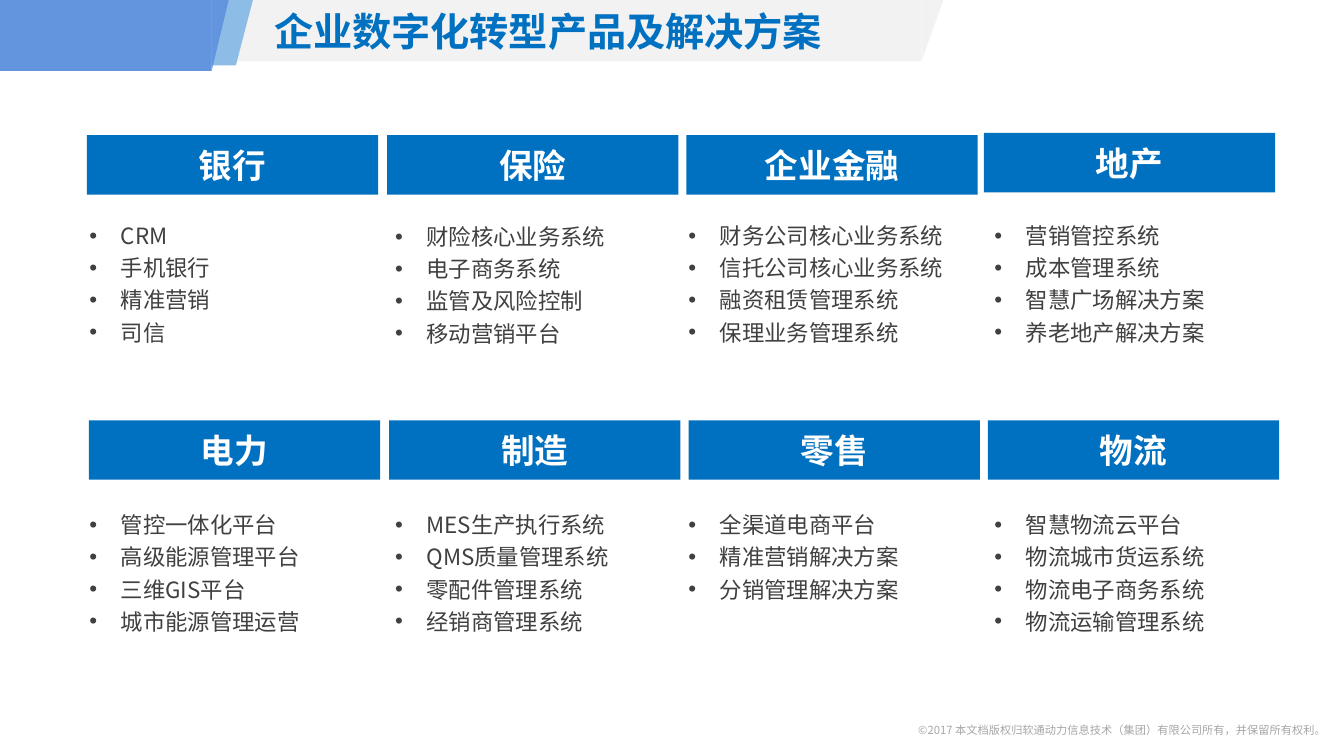
"""Build the slide of digital transformation products and solutions by industry."""
import pptx
import pptx.dml.color
import pptx.enum.shapes
import pptx.enum.text
import pptx.oxml.ns
import pptx.util
from lxml import etree

Pt = pptx.util.Pt
RGBColor = pptx.dml.color.RGBColor
SHAPES = pptx.enum.shapes.MSO_SHAPE
ANCHOR = pptx.enum.text.MSO_ANCHOR
ALIGN = pptx.enum.text.PP_ALIGN
qn = pptx.oxml.ns.qn

TITLE = "企业数字化转型产品及解决方案"
COPYRIGHT = "©2017 本文档版权归软通动力信息技术（集团）有限公司所有，并保留所有权利。"
SECTOR_ROWS = [
    [
        ("银行", ["CRM", "手机银行", "精准营销", "司信"]),
        ("保险", ["财险核心业务系统", "电子商务系统", "监管及风险控制", "移动营销平台"]),
        ("企业金融", ["财务公司核心业务系统", "信托公司核心业务系统", "融资租赁管理系统", "保理业务管理系统"]),
        ("地产", ["营销管控系统", "成本管理系统", "智慧广场解决方案", "养老地产解决方案"]),
    ],
    [
        ("电力", ["管控一体化平台", "高级能源管理平台", "三维GIS平台", "城市能源管理运营"]),
        ("制造", ["MES生产执行系统", "QMS质量管理系统", "零配件管理系统", "经销商管理系统"]),
        ("零售", ["全渠道电商平台", "精准营销解决方案", "分销管理解决方案"]),
        ("物流", ["智慧物流云平台", "物流城市货运系统", "物流电子商务系统", "物流运输管理系统"]),
    ],
]

FONT = "Noto Sans CJK SC"
BLUE = RGBColor(0x00, 0x70, 0xC0)
WHITE = RGBColor(0xFF, 0xFF, 0xFF)
DARK = RGBColor(0x40, 0x40, 0x40)
GREY = RGBColor(0xA6, 0xA6, 0xA6)
PALE = RGBColor(0xF2, 0xF2, 0xF2)
SKY = RGBColor(0x8D, 0xBD, 0xE6)
AZURE = RGBColor(0x62, 0x95, 0xDE)

BANDS = [
    (151.2, 506.9, 15.8, 43.9, PALE),
    (17.3, 151.2, 12.2, 46.8, SKY),
    (0, 151.2, 12.2, 50.6, AZURE),
]
HEADER_LEFTS = [[62, 276.5, 490.3, 702.7], [63.4, 277.9, 491.8, 705.6]]
HEADER_TOPS = [[96.5, 96.5, 96.5, 95], [300.2] * 4]
HEADER_WIDTH, HEADER_HEIGHT = 208.1, 42.5
LIST_LEFTS = [60.2, 278.6, 488.2, 706.7]
LIST_TOPS = [[151.2, 151.9, 151.2, 151.2], [357.8] * 4]
LIST_WIDTH, LINE_HEIGHT, LIST_MARGIN = 211.4, 25.6, 3.6
INDENT = 22.5


def add_filled(shapes, preset, left, top, width, height, color):
    shape = shapes.add_shape(preset, Pt(left), Pt(top), Pt(width), Pt(height))
    shape.shadow.inherit = False
    shape.fill.solid()
    shape.fill.fore_color.rgb = color
    shape.line.fill.background()
    return shape


def add_band(page, left, width, slant, height, color):
    parts = page.shapes.add_group_shape().shapes
    add_filled(parts, SHAPES.RECTANGLE, left, 0, width, height, color)
    tip = add_filled(parts, SHAPES.RIGHT_TRIANGLE, left + width, 0, slant, height, color)
    tip._element.spPr.find(qn("a:xfrm")).set("flipV", "1")


def add_bullet(para):
    properties = para._p.get_or_add_pPr()
    properties.set("marL", str(Pt(INDENT)))
    properties.set("indent", str(-Pt(INDENT)))
    color = etree.SubElement(properties, qn("a:buClr"))
    etree.SubElement(color, qn("a:srgbClr"), val=str(DARK))
    etree.SubElement(properties, qn("a:buFont"), typeface="Arial")
    etree.SubElement(properties, qn("a:buChar"), char="•")


def write(box, lines, size, color, bold=False, margin=3.6, anchor=ANCHOR.TOP,
          align=ALIGN.LEFT, spacing=None, bullets=False):
    frame = box.text_frame
    frame.word_wrap = True
    frame.auto_size = pptx.enum.text.MSO_AUTO_SIZE.SHAPE_TO_FIT_TEXT
    frame.vertical_anchor = anchor
    frame.margin_left = frame.margin_right = Pt(margin)
    frame.margin_top = frame.margin_bottom = Pt(margin)
    for index, line in enumerate(lines):
        para = frame.add_paragraph() if index else frame.paragraphs[0]
        if bullets:
            add_bullet(para)
        para.alignment = align
        para.line_spacing = spacing
        span = para.add_run()
        span.text = line
        span.font.name = FONT
        span.font.size = Pt(size)
        span.font.bold = bold
        span.font.color.rgb = color
        etree.SubElement(span.font._element, qn("a:ea"), typeface=FONT)


def add_text(page, left, top, width, height, lines, size, color, **style):
    box = page.shapes.add_textbox(Pt(left), Pt(top), Pt(width), Pt(height))
    write(box, lines, size, color, **style)


def main():
    deck = pptx.Presentation()
    deck.slide_width, deck.slide_height = Pt(960), Pt(540)
    page = deck.slides.add_slide(deck.slide_layouts[6])
    for band in BANDS:
        add_band(page, *band)
    add_text(page, 652.3, 513.4, 307.5, 17.3, [COPYRIGHT], 8, GREY)
    add_text(page, 192.2, 5, 495.4, 38.2, [TITLE], 28, BLUE,
             bold=True, anchor=ANCHOR.MIDDLE, spacing=0.9)
    for row, sectors in enumerate(SECTOR_ROWS):
        for column, (sector, products) in enumerate(sectors):
            header = add_filled(page.shapes, SHAPES.RECTANGLE, HEADER_LEFTS[row][column],
                                HEADER_TOPS[row][column], HEADER_WIDTH, HEADER_HEIGHT, BLUE)
            write(header, [sector], 24, WHITE, bold=True, margin=5,
                  anchor=ANCHOR.MIDDLE, align=ALIGN.CENTER)
            height = len(products) * LINE_HEIGHT + 2 * LIST_MARGIN
            add_text(page, LIST_LEFTS[column], LIST_TOPS[row][column], LIST_WIDTH, height,
                     products, 16, DARK, margin=LIST_MARGIN, spacing=1.2, bullets=True)
    deck.save("out.pptx")


if __name__ == "__main__":
    main()
